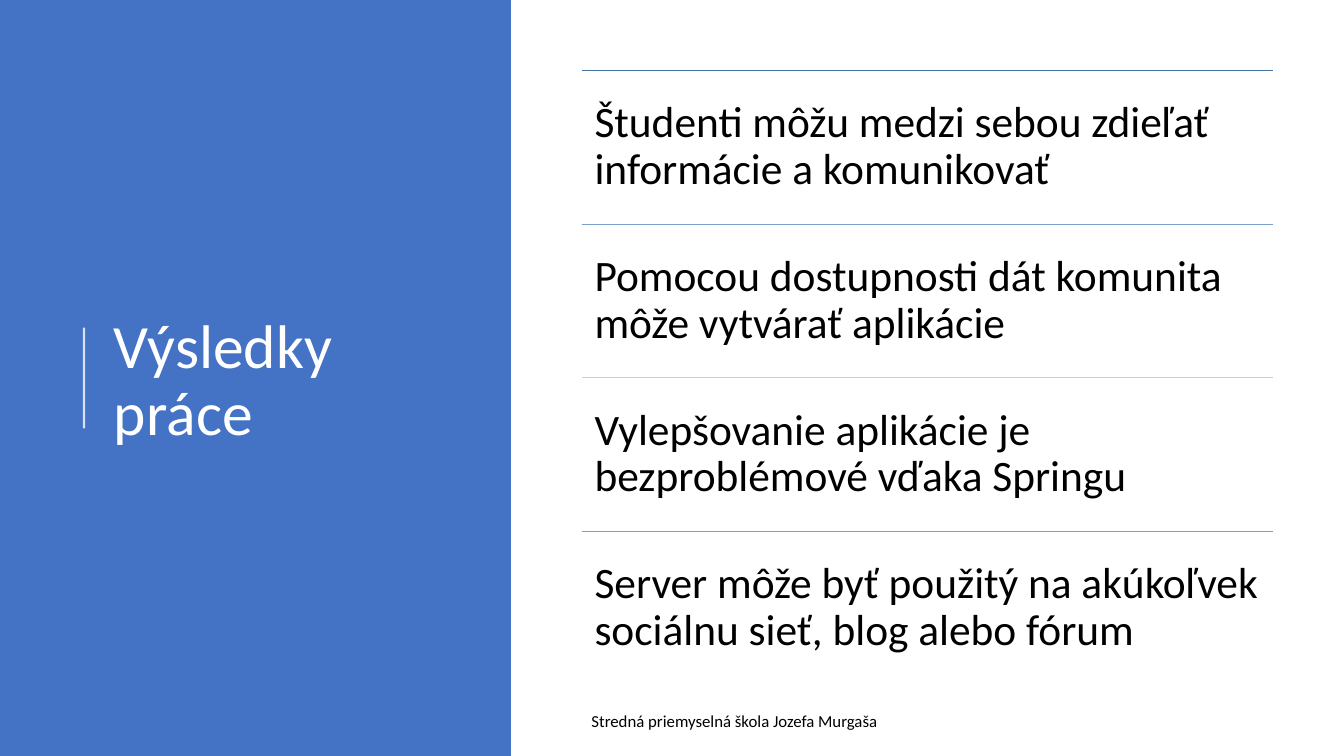
from lxml.etree import SubElement
from pptx import Presentation
from pptx.dml.color import RGBColor
from pptx.enum.shapes import MSO_CONNECTOR, MSO_SHAPE
from pptx.enum.text import MSO_ANCHOR
from pptx.oxml.ns import qn
from pptx.util import Pt

COLORS = {"panel": "4472C4", "white": "FFFFFF", "black": "000000",
          "dark": "43739E", "mid": "7AA1CC", "pale": "C0D2EA"}
FONT = "Calibri"
LEFT, TOP, WIDTH, PITCH = 415.4, 50.4, 494, 109.7
RESULTS = [
    ("Študenti môžu medzi sebou zdieľať informácie a komunikovať", "dark"),
    ("Pomocou dostupnosti dát komunita môže vytvárať aplikácie", "mid"),
    ("Vylepšovanie aplikácie je bezproblémové vďaka Springu", "pale"),
    ("Server môže byť použitý na akúkoľvek sociálnu sieť, blog alebo fórum", "mid"),
]


def color(name):
    return RGBColor.from_string(COLORS[name])


def write(frame, text, size=12, tint="black", spacing=1.0, after=0, pad=None):
    """Fill a text frame; pad is one inset for all four sides."""
    frame.word_wrap = True
    frame.vertical_anchor = MSO_ANCHOR.MIDDLE
    if pad is not None:
        frame.margin_left = frame.margin_right = Pt(pad)
        frame.margin_top = frame.margin_bottom = Pt(pad)
    para = frame.paragraphs[0]
    para.line_spacing = spacing
    para.space_after = Pt(after)
    run = para.add_run()
    run.text = text
    run.font.name = FONT
    run.font.size = Pt(size)
    run.font.color.rgb = color(tint)


class Page:
    def __init__(self, deck):
        self.slide = deck.slides.add_slide(deck.slide_layouts[5])
        self.shapes = self.slide.shapes

    def panel(self, x, y, w, h, tint):
        box = self.shapes.add_shape(MSO_SHAPE.RECTANGLE, Pt(x), Pt(y), Pt(w), Pt(h))
        box.shadow.inherit = False
        box.fill.solid()
        box.fill.fore_color.rgb = color(tint)
        box.line.fill.background()

    def title(self, text, x, y, w, h, **style):
        title = self.shapes.title
        title.left, title.top, title.width, title.height = Pt(x), Pt(y), Pt(w), Pt(h)
        write(title.text_frame, text, **style)
        title.text_frame.paragraphs[0].alignment = 1
        # Bring the title in front of the panel
        title.element.getparent().append(title.element)

    def line(self, x1, y1, x2, y2, tint, width=0.5, alpha=None):
        """Draw a straight line; alpha is its opacity in percent."""
        line = self.shapes.add_connector(
            MSO_CONNECTOR.STRAIGHT, Pt(x1), Pt(y1), Pt(x2), Pt(y2))
        line.line.width = Pt(width)
        line.line.color.rgb = color(tint)
        props = line.element.spPr
        if alpha is not None:
            fill = next(props.iter(qn("a:srgbClr")))
            SubElement(fill, qn("a:alpha"), val=str(alpha * 1000))
        SubElement(props, qn("a:effectLst"))

    def text(self, text, x, y, w, h, **style):
        box = self.shapes.add_textbox(Pt(x), Pt(y), Pt(w), Pt(h))
        write(box.text_frame, text, **style)


def main():
    deck = Presentation()
    deck.slide_width, deck.slide_height = Pt(960), Pt(540)
    page = Page(deck)
    page.panel(0, 0, 365, 540, "panel")
    page.line(60, 306, 60, 234, "white", width=1.5, alpha=80)
    page.title("Výsledky práce", 74.2, 56.2, 265.7, 433.4,
               size=44, tint="white", spacing=0.9)
    for row, (text, tint) in enumerate(RESULTS):
        y = TOP + row * PITCH
        page.line(LEFT, y, LEFT + WIDTH, y, tint)
        page.text(text, LEFT, y, WIDTH, PITCH,
                  size=31, spacing=0.9, after=11, pad=9.3)
    page.text("Stredná priemyselná škola Jozefa Murgaša",
              LEFT, 500.4, 226, 28.8, after=6)
    deck.save("out.pptx")


if __name__ == "__main__":
    main()
